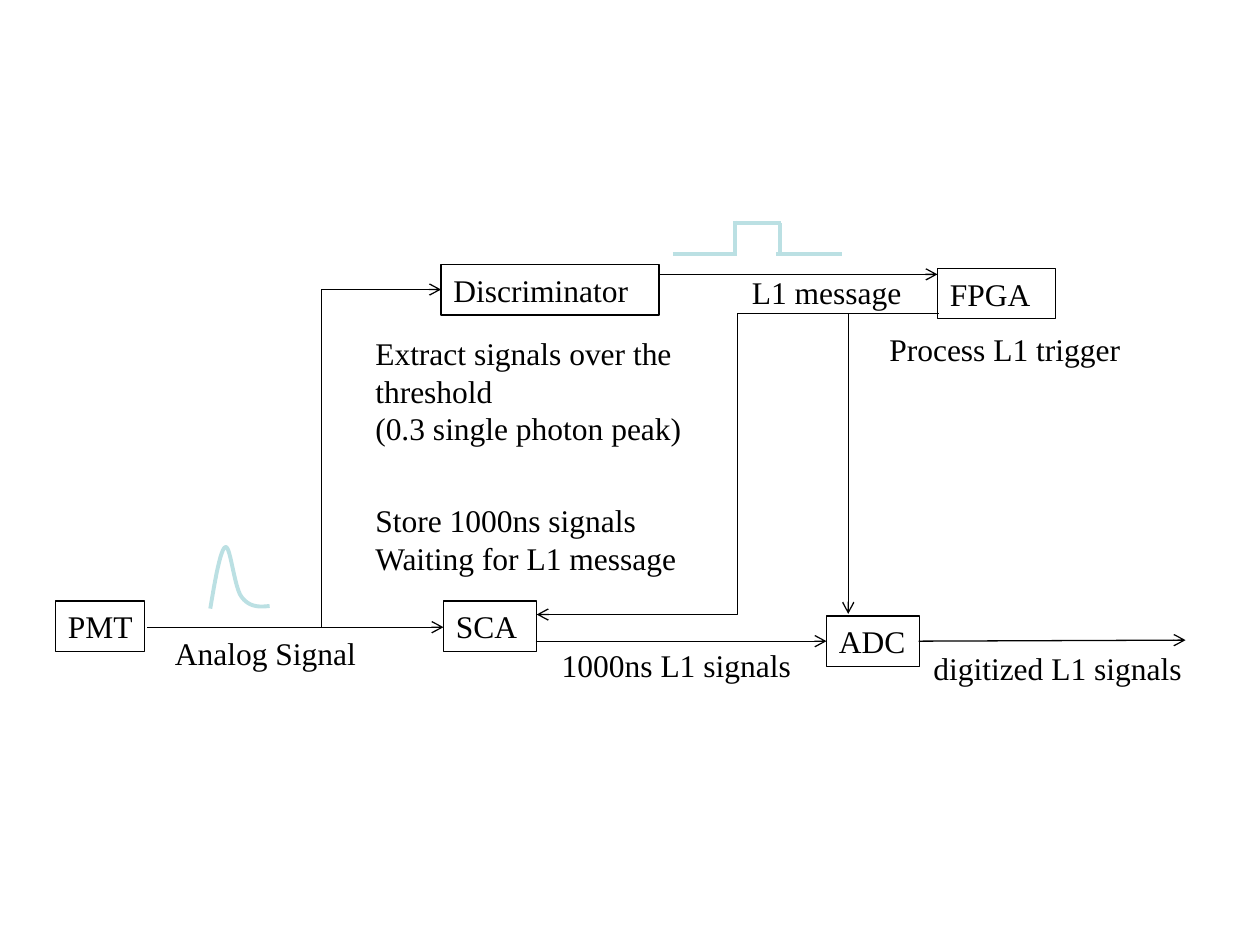
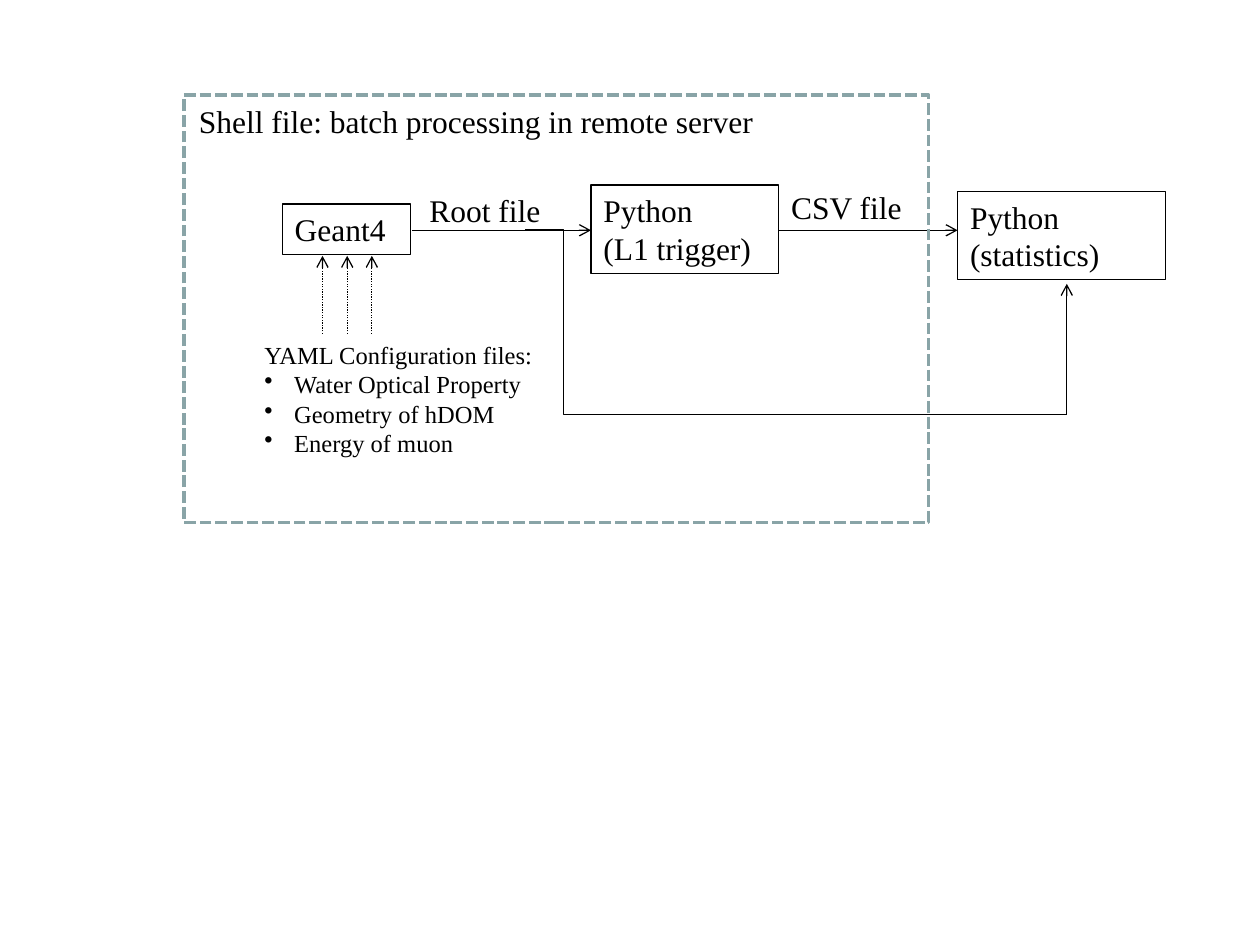
from lxml import etree
from pptx import Presentation
from pptx.dml.color import RGBColor
from pptx.enum.dml import MSO_LINE
from pptx.enum.shapes import MSO_CONNECTOR, MSO_SHAPE
from pptx.enum.text import MSO_ANCHOR, PP_ALIGN
from pptx.oxml.ns import qn
from pptx.util import Pt

RECT = MSO_SHAPE.RECTANGLE
STRAIGHT, ELBOW = MSO_CONNECTOR.STRAIGHT, MSO_CONNECTOR.ELBOW
DOTS, DASHES = MSO_LINE.ROUND_DOT, MSO_LINE.SQUARE_DOT
TOP, LEFT = MSO_ANCHOR.TOP, PP_ALIGN.LEFT

COLORS = {"ink": "000000", "pulse": "BBE0E3", "frame": "89A4A7"}
FONT = "Times New Roman"
ROW = 28.8      # height of a box with one line of text
TALL = 50.4     # height of a box with two lines of text
BULLET = 17     # hanging indent of a bullet
SLACK = 6       # spare width that keeps a label on its line


def color(name):
    return RGBColor.from_string(COLORS[name])


def stroke(line, name="ink", width=0.75, dash=None):
    line.color.rgb = color(name)
    line.width = Pt(width)
    if dash:
        line.dash_style = dash


# Text
def write(frame, lines, size=18, wrap=True, bullets=False):
    """Fill a frame; with bullets, every line after the first gets one."""
    frame.word_wrap = wrap
    frame.vertical_anchor = TOP
    for i, text in enumerate(lines):
        para = frame.paragraphs[0] if i == 0 else frame.add_paragraph()
        para.alignment = LEFT
        if bullets and i:
            props = para._p.get_or_add_pPr()
            props.set("marL", str(Pt(BULLET)))
            props.set("indent", str(-Pt(BULLET)))
            etree.SubElement(props, qn("a:buChar")).set("char", "•")
        run = para.add_run()
        run.text = text
        run.font.name = FONT
        run.font.size = Pt(size)
        run.font.color.rgb = color("ink")


def label(slide, x, y, w, h, *lines, **style):
    area = slide.shapes.add_textbox(Pt(x), Pt(y), Pt(w + SLACK), Pt(h))
    write(area.text_frame, lines, **style)


# Boxes
def outline(slide, x, y, w, h, **style):
    shape = slide.shapes.add_shape(RECT, Pt(x), Pt(y), Pt(w), Pt(h))
    shape.shadow.inherit = False
    shape.fill.background()
    stroke(shape.line, **style)
    return shape


def box(slide, x, y, w, h, *lines, wrap=True):
    write(outline(slide, x, y, w, h).text_frame, lines, wrap=wrap)


# Lines and arrows
def link(slide, x1, y1, x2, y2, kind=STRAIGHT, arrow=True, **style):
    wire = slide.shapes.add_connector(kind, Pt(x1), Pt(y1), Pt(x2), Pt(y2))
    stroke(wire.line, **style)
    if arrow:
        tail = etree.SubElement(wire.line._get_or_add_ln(), qn("a:tailEnd"))
        tail.set("type", "arrow")
    etree.SubElement(wire._element.spPr, qn("a:effectLst"))
    return wire


def bend(slide, x1, y1, x2, y2, share=0.5, **style):
    """Run across, down and across; share places the middle leg."""
    wire = link(slide, x1, y1, x2, y2, ELBOW, **style)
    geom = wire._element.spPr.find(qn("a:prstGeom"))
    guides = geom.find(qn("a:avLst"))
    if guides is None:
        guides = etree.SubElement(geom, qn("a:avLst"))
    guide = etree.SubElement(guides, qn("a:gd"))
    guide.set("name", "adj1")
    guide.set("fmla", f"val {round(share * 100000)}")


def corner(slide, x1, y1, x2, y2):
    """Run up, then right: a one-bend connector turned by 90 degrees."""
    mid_x, mid_y = (x1 + x2) / 2, (y1 + y2) / 2
    half_w, half_h = (x2 - x1) / 2, (y1 - y2) / 2
    wire = link(slide, mid_x + half_h, mid_y + half_w,
                mid_x - half_h, mid_y - half_w, ELBOW)
    props = wire._element.spPr
    props.find(qn("a:xfrm")).set("rot", "5400000")
    props.find(qn("a:prstGeom")).set("prst", "bentConnector2")


def curve(slide, start, parts, steps=12):
    """Draw a chain of cubic curves as one open outline."""
    points = [start]
    for c1, c2, end in parts:
        first = points[-1]
        for i in range(1, steps + 1):
            t = i / steps
            u = 1 - t
            points.append(tuple(
                u**3 * a + 3 * u * u * t * b + 3 * u * t * t * c + t**3 * d
                for a, b, c, d in zip(first, c1, c2, end)))
    path = [(Pt(x), Pt(y)) for x, y in points]
    pen = slide.shapes.build_freeform(*path[0])
    pen.add_line_segments(path[1:], close=False)
    shape = pen.convert_to_shape()
    shape.shadow.inherit = False
    shape.fill.background()
    stroke(shape.line, "pulse", 2.25)


# Slide 1: path of the signal
def signal(slide):
    for x, y, w, name in [(31.7, 343.4, 51.1, "PMT"),
                          (253.4, 343.4, 53.3, "SCA"),
                          (472.3, 352.1, 53.3, "ADC"),
                          (252, 151.2, 124.6, "Discriminator"),
                          (535.7, 153.4, 67.7, "FPGA")]:
        box(slide, x, y, w, ROW, name, wrap=name != "PMT")

    for ends in [(84.2, 358.4, 253.4, 358.4), (306, 366.4, 472.3, 366.4),
                 (377.3, 156.8, 535.7, 156.8), (525, 366.4, 677.5, 365.8),
                 (484.7, 179.2, 484.7, 350.8)]:
        link(slide, *ends)
    corner(slide, 183.6, 358.4, 252, 165.5)
    bend(slide, 536.4, 179.2, 306.7, 351.2)

    for x, y, w, text in [(92.9, 358.6, 122.4, "Analog Signal"),
                          (422.6, 152.6, 99.4, "L1 message"),
                          (313.9, 365.8, 145.4, "1000ns L1 signals"),
                          (526.3, 367.2, 156.2, "digitized L1 signals"),
                          (501.1, 185, 146.2, "Process L1 trigger")]:
        label(slide, x, y, w, ROW, text)
    label(slide, 207.4, 187.2, 206.6, 72, "Extract signals over the threshold",
          "(0.3 single photon peak)")
    label(slide, 207.4, 283, 187.9, TALL, "Store 1000ns signals",
          "Waiting for L1 message")

    # Analog pulse, then square pulse
    curve(slide, (120.2, 347.8),
          [((123.1, 330.5), (126, 313.9), (128.9, 312.5)),
           ((131.8, 311.8), (133.9, 336.2), (138.2, 341.3)),
           ((142.6, 347), (148.3, 347), (154.1, 346.3))])
    low, high = 145.4, 127.4
    for ends in [(384.5, low, 421.2, low), (419.8, 126, 419.8, low),
                 (419.8, high, 446.4, high), (445.7, high, 445.7, low),
                 (443.5, low, 481, low)]:
        link(slide, *ends, arrow=False, name="pulse", width=2.25)


# Slide 2: chain of programs
def programs(slide):
    flow = 131.6
    box(slide, 161.3, 116.6, 73.4, ROW, "Geant4")
    box(slide, 337.7, 105.8, 107.3, TALL, "Python", "(L1 trigger)")
    box(slide, 547.2, 109.4, 118.8, TALL, "Python", "(statistics)")
    link(slide, 235.4, flow, 337.7, flow)
    link(slide, 445, flow, 547.2, flow)
    label(slide, 238.3, 105.8, 82.1, ROW, "Root file")
    label(slide, 445, 103.7, 82.1, ROW, "CSV file")

    # Setup files feed the first box
    for i in range(3):
        x = 184.3 + 14.1 * i
        link(slide, x, 190.8, x, 146.2, dash=DOTS)
    label(slide, 144, 190.8, 169.2, 91.4, "YAML Configuration files:",
          "Water Optical Property", "Geometry of hDOM", "Energy of muon",
          size=14, bullets=True)

    # Detour to the last box
    bend(slide, 300.2, 131.2, 609.6, 236.8, share=0.07, arrow=False, width=0.5)
    link(slide, 609.6, 236.8, 609.6, 162.2)

    # Frame of the batch job
    outline(slide, 105.1, 54.5, 425.5, 244.1,
            name="frame", width=2.25, dash=DASHES)
    label(slide, 106.6, 54.7, 331.2, ROW,
          "Shell file: batch processing in remote server")


def main():
    deck = Presentation()
    deck.slide_width, deck.slide_height = Pt(720), Pt(540)
    blank = deck.slide_layouts[6]
    for draw in (signal, programs):
        draw(deck.slides.add_slide(blank))
    deck.save("out.pptx")


if __name__ == "__main__":
    main()
